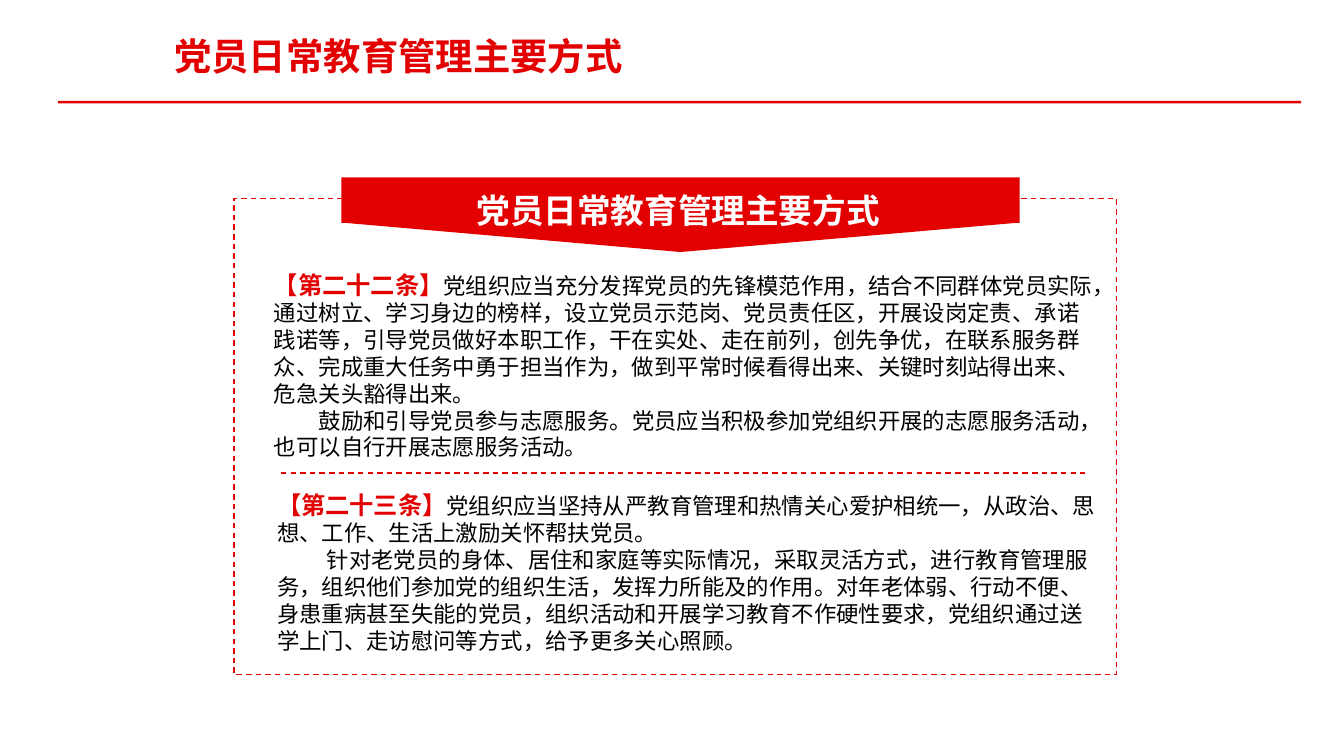
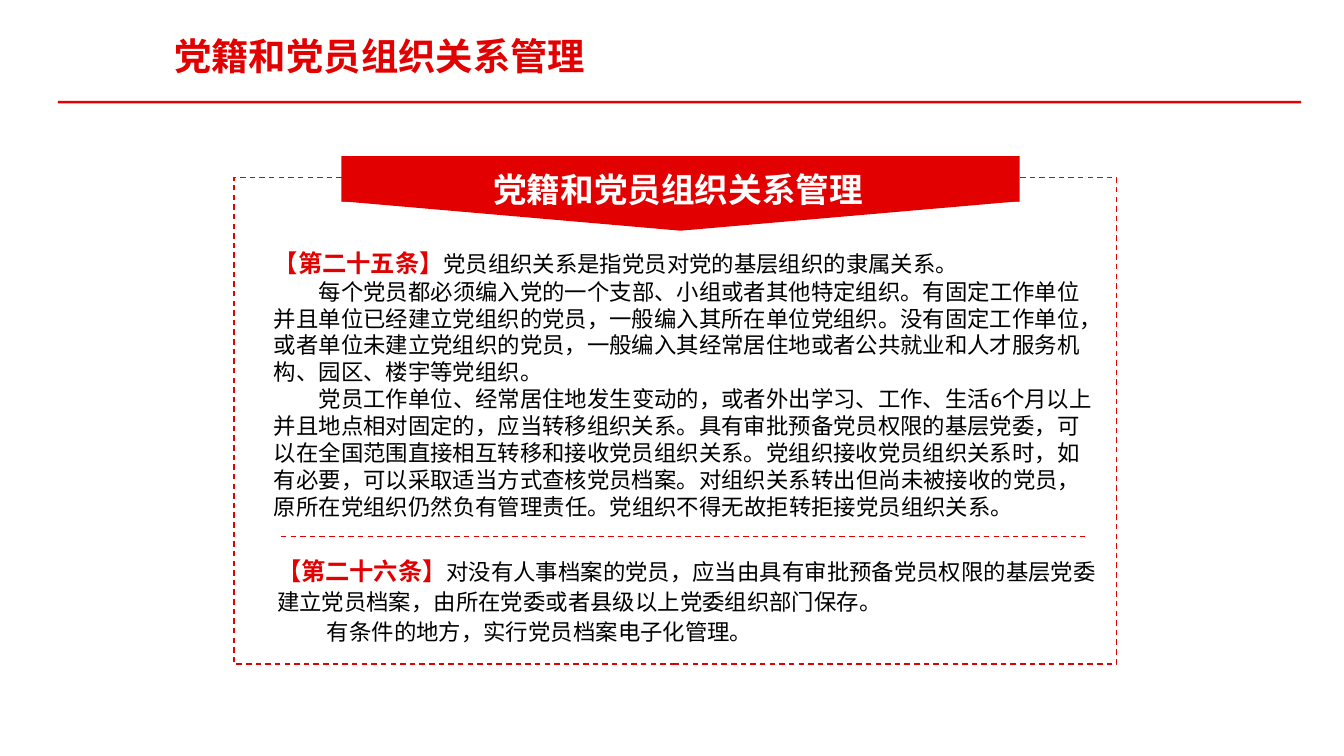
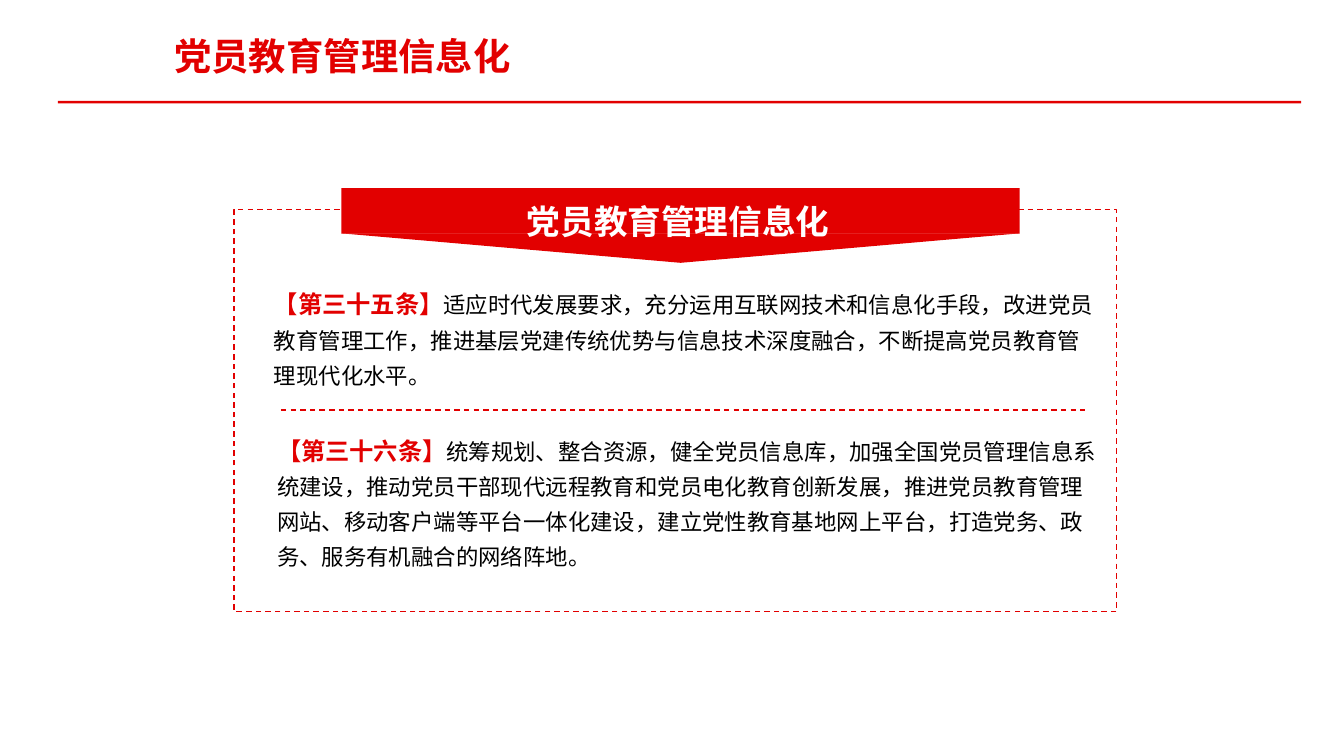
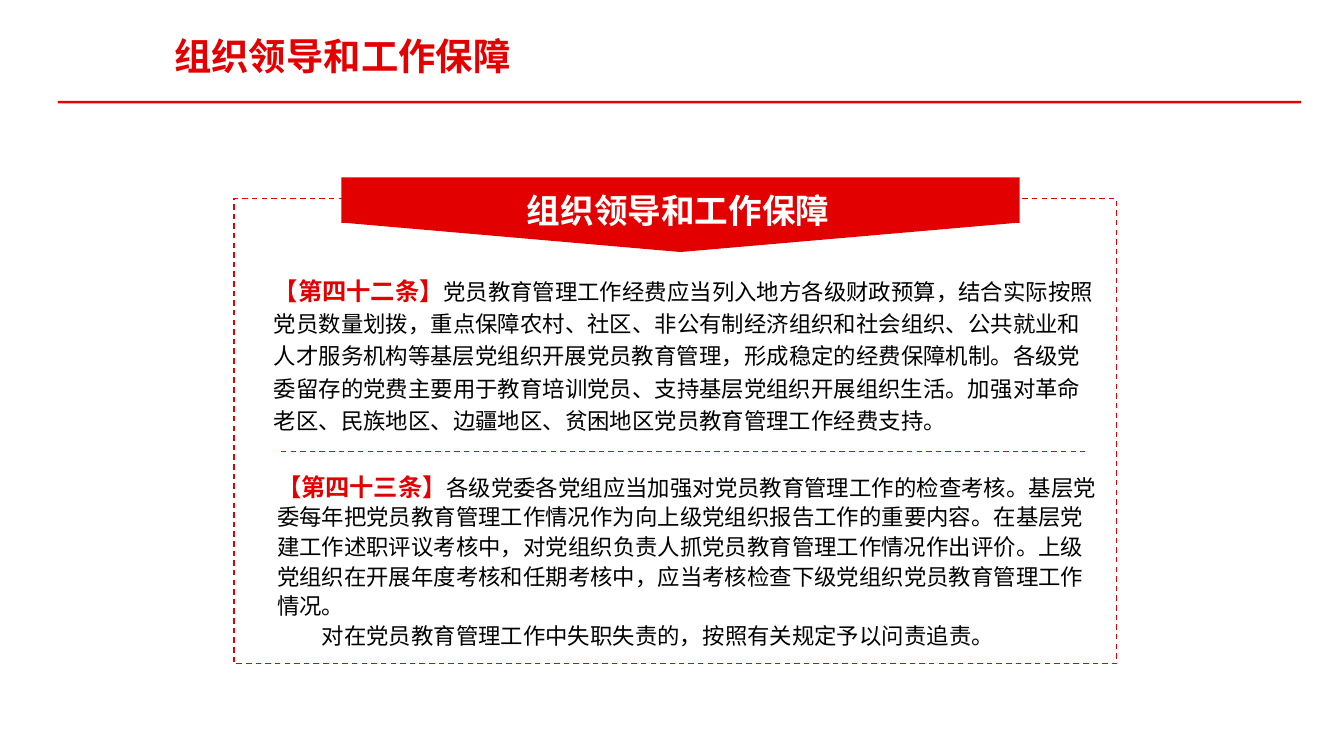
"""Builds four slides on the education and management of members."""
from dataclasses import dataclass

from pptx import Presentation
from pptx import util as u
from pptx.dml.color import RGBColor
from pptx.enum import dml, lang, shapes, text
from pptx.oxml.xmlchemy import OxmlElement


@dataclass(frozen=True)
class Theme:
    """Colours, font and type sizes of the deck."""
    red: RGBColor = RGBColor(0xE2, 0x00, 0x00)
    white: RGBColor = RGBColor(0xFF, 0xFF, 0xFF)
    black: RGBColor = RGBColor(0x00, 0x00, 0x00)
    font: str = "Vollkorn"
    title: float = 20
    ribbon: float = 18
    lead: float = 13
    body: float = 12
    line: float = 0.75


@dataclass(frozen=True)
class Box:
    """A rectangle in points."""
    x: float
    y: float
    w: float
    h: float

    def inner(self, dx, dy, w, h):
        """Return a box offset from this one's top left corner."""
        return Box(self.x + dx, self.y + dy, w, h)

    def lengths(self):
        """Return left, top, width and height as lengths."""
        return [u.Pt(v) for v in (self.x, self.y, self.w, self.h)]


@dataclass(frozen=True)
class Article:
    """A numbered article: lead, paragraphs and layout."""
    lead: str
    paragraphs: tuple
    height: float
    spacing: float = 1.0
    indent: float = 24


@dataclass(frozen=True)
class Page:
    """The content of one slide."""
    title: str
    top: float
    height: float
    divider: float
    first: Article
    second: Article


T = Theme()
TITLE = Box(87.84, 15.12, 289.44, 29.52)
RULE = Box(31, 54, 666, 1.44)
FRAME_X, FRAME_W = 125.3, 473
ARTICLE_W = 454.3


def add_block(parent, kind, box, fill, line=None):
    """Add a filled shape, with a dashed outline if a line colour is given."""
    sp = parent.add_shape(kind, *box.lengths())
    sp.shadow.inherit = False
    sp.fill.solid()
    sp.fill.fore_color.rgb = fill
    if line is None:
        sp.line.fill.background()
    else:
        style_line(sp.line, line)
    return sp


def style_line(line, color):
    """Make a line thin and dashed."""
    line.color.rgb = color
    line.width = u.Pt(T.line)
    line.dash_style = dml.MSO_LINE.DASH


def add_frame(s, box, margins=(7.2, 3.6)):
    """Add an empty wrapping text box and return its text frame."""
    tf = s.shapes.add_textbox(*box.lengths()).text_frame
    tf.word_wrap = True
    tf.auto_size = text.MSO_AUTO_SIZE.SHAPE_TO_FIT_TEXT
    tf.margin_left = tf.margin_right = u.Pt(margins[0])
    tf.margin_top = tf.margin_bottom = u.Pt(margins[1])
    return tf


def style_font(font, size, color, bold=False):
    """Set the deck font with a size, colour and weight."""
    font.name = T.font
    font.language_id = lang.MSO_LANGUAGE_ID.SIMPLIFIED_CHINESE
    font.size = u.Pt(size)
    font.bold = bold
    font.color.rgb = color


def add_heading(s, box, words, size, color):
    """Add a bold heading of one line and return its paragraph."""
    p = add_frame(s, box, (5.4, 2.7)).paragraphs[0]
    p.text = words
    style_font(p.font, size, color, True)
    return p


def add_header(s, words):
    """Add the slide title and the rule below it."""
    add_block(s.shapes, shapes.MSO_SHAPE.RECTANGLE, RULE, T.red)
    add_heading(s, TITLE, words, T.title, T.red)


def add_ribbon(s, box, words):
    """Add the pointed ribbon with its heading."""
    group = s.shapes.add_group_shape().shapes
    add_block(group, shapes.MSO_SHAPE.RECTANGLE,
              box.inner(0, 0, box.w, 24.4), T.red)
    tip = add_block(group, shapes.MSO_SHAPE.ISOSCELES_TRIANGLE,
                    box.inner(0, 24.2, box.w, box.h - 24.2), T.red)
    tip.rotation = 180
    p = add_heading(s, box.inner(13, 0, 334.8, 29.52), words, T.ribbon, T.white)
    p.alignment = text.PP_ALIGN.CENTER
    p.line_spacing = 1.2


def add_article(s, box, article):
    """Add an article, its lead in red and later paragraphs indented."""
    tf = add_frame(s, box)
    for i, words in enumerate(article.paragraphs):
        p = tf.add_paragraph() if i else tf.paragraphs[0]
        p.line_spacing = article.spacing
        if i:
            p.text = words
            p._p.get_or_add_pPr().set("indent", str(u.Pt(article.indent)))
            style_font(p.font, T.body, T.black)
        else:
            for part, size, color in ((article.lead, T.lead, T.red),
                                      (words, T.body, T.black)):
                r = p.add_run()
                r.text = part
                style_font(r.font, size, color, part == article.lead)


def add_divider(s, x, y, w):
    """Add a dashed horizontal line."""
    cx = s.shapes.add_connector(shapes.MSO_CONNECTOR.STRAIGHT,
                                u.Pt(x), u.Pt(y), u.Pt(x + w), u.Pt(y))
    style_line(cx.line, T.red)
    cx._element.spPr.append(OxmlElement("a:effectLst"))


def add_panel(s, box, page):
    """Add the dashed panel with its ribbon and two articles."""
    add_block(s.shapes, shapes.MSO_SHAPE.RECTANGLE, box, T.white, T.red)
    add_ribbon(s, box.inner(57.6, -11.5, 363.4, 40), page.title)
    add_article(s, box.inner(14.4, 34.6, ARTICLE_W, page.first.height),
                page.first)
    add_article(s, box.inner(16, page.divider + 5.8, ARTICLE_W,
                             page.second.height), page.second)
    add_divider(s, box.x + 25.2, box.y + page.divider, 430.6)


PAGES = (
    Page(
        "党员日常教育管理主要方式", 106.5, 254.9, 146.9,
        Article("【第二十二条】", (
            "党组织应当充分发挥党员的先锋模范作用，结合不同群体党员实际，通过树立、学习身边的榜样，"
            "设立党员示范岗、党员责任区，开展设岗定责、承诺践诺等，引导党员做好本职工作，干在实处、"
            "走在前列，创先争优，在联系服务群众、完成重大任务中勇于担当作为，做到平常时候看得出来、"
            "关键时刻站得出来、危急关头豁得出来。",
            "鼓励和引导党员参与志愿服务。党员应当积极参加党组织开展的志愿服务活动，"
            "也可以自行开展志愿服务活动。"), 110.2),
        Article("【第二十三条】", (
            "党组织应当坚持从严教育管理和热情关心爱护相统一，从政治、思想、工作、生活上激励关怀帮扶党员。",
            "针对老党员的身体、居住和家庭等实际情况，采取灵活方式，进行教育管理服务，组织他们参加党的"
            "组织生活，发挥力所能及的作用。对年老体弱、行动不便、身患重病甚至失能的党员，组织活动和开展"
            "学习教育不作硬性要求，党组织通过送学上门、走访慰问等方式，给予更多关心照顾。"),
            95.8, indent=26.7)),
    Page(
        "党籍和党员组织关系管理", 95.1, 260.6, 192.2,
        Article("【第二十五条】", (
            "党员组织关系是指党员对党的基层组织的隶属关系。",
            "每个党员都必须编入党的一个支部、小组或者其他特定组织。有固定工作单位并且单位已经建立党组织的"
            "党员，一般编入其所在单位党组织。没有固定工作单位，或者单位未建立党组织的党员，一般编入其经常"
            "居住地或者公共就业和人才服务机构、园区、楼宇等党组织。",
            "党员工作单位、经常居住地发生变动的，或者外出学习、工作、生活6个月以上并且地点相对固定的，"
            "应当转移组织关系。具有审批预备党员权限的基层党委，可以在全国范围直接相互转移和接收党员组织"
            "关系。党组织接收党员组织关系时，如有必要，可以采取适当方式查核党员档案。对组织关系转出但尚未"
            "被接收的党员，原所在党组织仍然负有管理责任。党组织不得无故拒转拒接党员组织关系。"), 154.1),
        Article("【第二十六条】", (
            "对没有人事档案的党员，应当由具有审批预备党员权限的基层党委建立党员档案，"
            "由所在党委或者县级以上党委组织部门保存。",
            "有条件的地方，实行党员档案电子化管理。"), 56.9, 1.1, 26.7)),
    Page(
        "党员教育管理信息化", 112.3, 215.3, 107.3,
        Article("【第三十五条】", (
            "适应时代发展要求，充分运用互联网技术和信息化手段，改进党员教育管理工作，推进基层党建传统优势"
            "与信息技术深度融合，不断提高党员教育管理现代化水平。",), 64.1, 1.3),
        Article("【第三十六条】", (
            "统筹规划、整合资源，健全党员信息库，加强全国党员管理信息系统建设，推动党员干部现代远程教育和"
            "党员电化教育创新发展，推进党员教育管理网站、移动客户端等平台一体化建设，建立党性教育基地网上"
            "平台，打造党务、政务、服务有机融合的网络阵地。",), 84.2, 1.3)),
    Page(
        "组织领导和工作保障", 106.5, 249.1, 135.4,
        Article("【第四十二条】", (
            "党员教育管理工作经费应当列入地方各级财政预算，结合实际按照党员数量划拨，重点保障农村、社区、"
            "非公有制经济组织和社会组织、公共就业和人才服务机构等基层党组织开展党员教育管理，形成稳定的经费"
            "保障机制。各级党委留存的党费主要用于教育培训党员、支持基层党组织开展组织生活。加强对革命老区、"
            "民族地区、边疆地区、贫困地区党员教育管理工作经费支持。",), 94.3, 1.2),
        Article("【第四十三条】", (
            "各级党委各党组应当加强对党员教育管理工作的检查考核。基层党委每年把党员教育管理工作情况作为向"
            "上级党组织报告工作的重要内容。在基层党建工作述职评议考核中，对党组织负责人抓党员教育管理工作"
            "情况作出评价。上级党组织在开展年度考核和任期考核中，应当考核检查下级党组织党员教育管理工作情况。",
            "对在党员教育管理工作中失职失责的，按照有关规定予以问责追责。"), 103.7, 1.1)),
)


def main():
    """Build and save the deck."""
    prs = Presentation()
    prs.slide_width, prs.slide_height = u.Pt(720), u.Pt(405)
    for page in PAGES:
        s = prs.slides.add_slide(prs.slide_layouts[6])
        add_header(s, page.title)
        add_panel(s, Box(FRAME_X, page.top, FRAME_W, page.height), page)
    prs.save("out.pptx")


if __name__ == "__main__":
    main()
